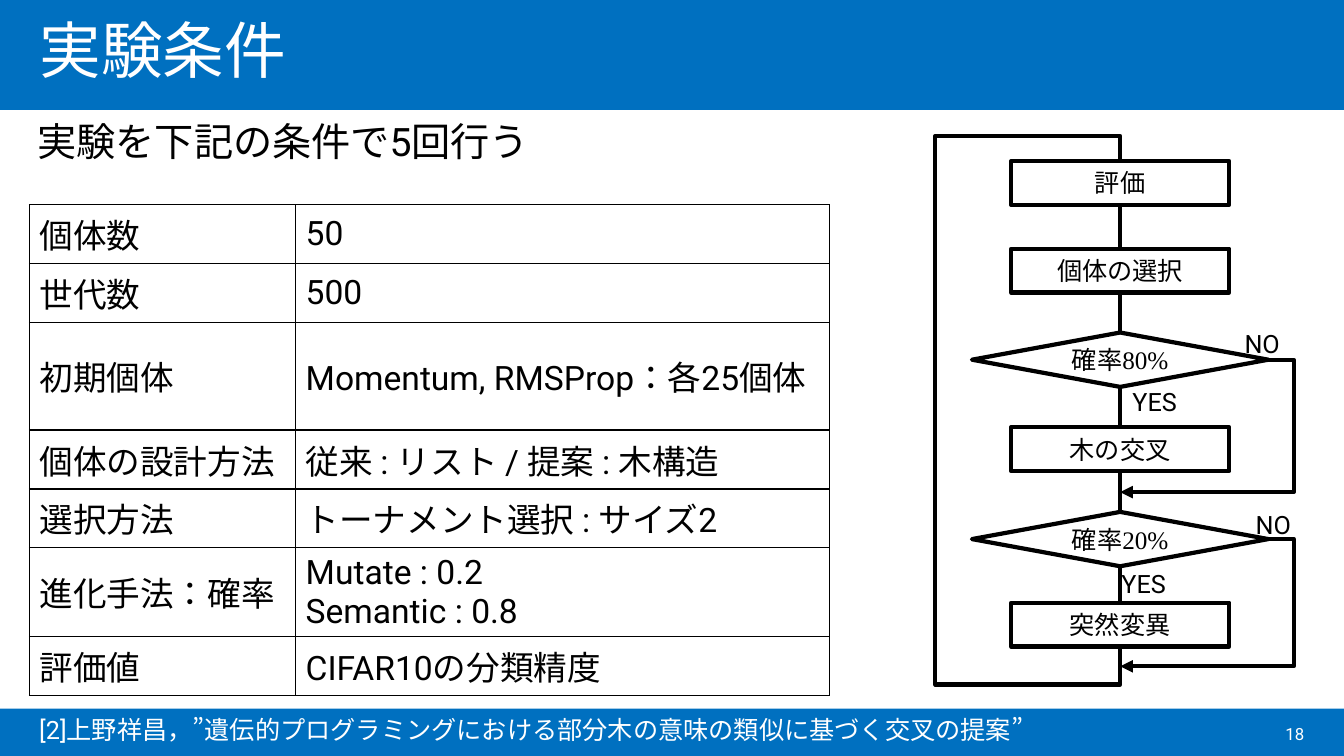
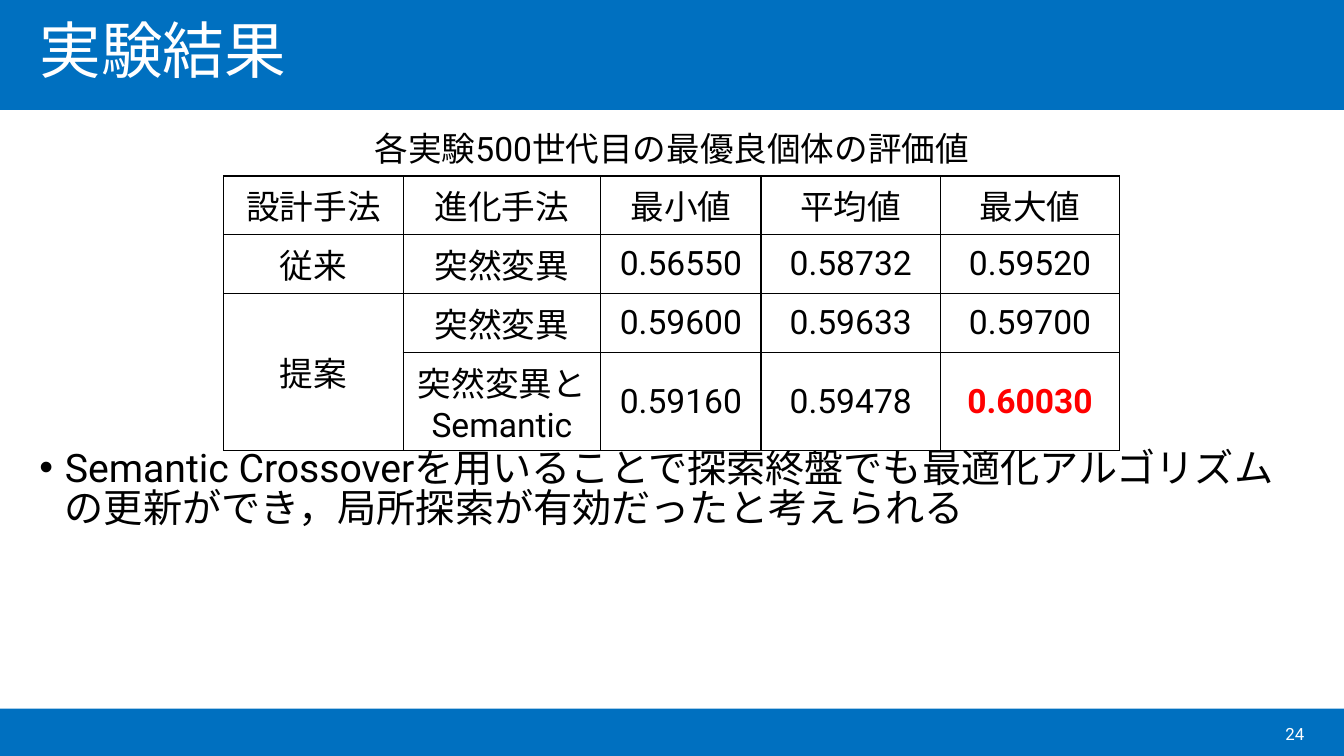
from dataclasses import dataclass
from typing import NamedTuple

from lxml import etree
from pptx import Presentation
from pptx.dml.color import RGBColor
from pptx.enum.lang import MSO_LANGUAGE_ID
from pptx.enum.shapes import MSO_CONNECTOR, MSO_SHAPE
from pptx.enum.text import MSO_ANCHOR, MSO_AUTO_SIZE, PP_ALIGN
from pptx.oxml.ns import qn
from pptx.util import Cm, Pt

LEFT, MID, RIGHT = PP_ALIGN.LEFT, PP_ALIGN.CENTER, PP_ALIGN.RIGHT
TOP, CENTER = MSO_ANCHOR.TOP, MSO_ANCHOR.MIDDLE
NO_FIT = MSO_AUTO_SIZE.NONE
RECT = MSO_SHAPE.RECTANGLE
STEP, TEST = MSO_SHAPE.FLOWCHART_PROCESS, MSO_SHAPE.FLOWCHART_DECISION
LINE, ELBOW = MSO_CONNECTOR.STRAIGHT, MSO_CONNECTOR.ELBOW
JAPAN = MSO_LANGUAGE_ID.JAPANESE

COLORS = {"blue": "0070C0", "white": "FFFFFF", "black": "000000", "red": "FF0000"}
SANS, SERIF = "Roboto", "Times New Roman"
WIDE, HIGH = 33.87, 19.05


class Box(NamedTuple):
    x: float
    y: float
    w: float
    h: float

    def cm(self) -> list:
        return [Cm(v) for v in self]


class Style(NamedTuple):
    size: float
    color: str = "black"
    font: str = SANS
    align: PP_ALIGN = LEFT
    bold: bool = False
    space: float = 1.0


@dataclass
class Grid:
    x: float
    y: float
    cols: list
    rows: list
    align: PP_ALIGN = LEFT
    spans: tuple = ()
    hot: tuple = ()
    caption: bool = False


@dataclass
class Node:
    kind: MSO_SHAPE
    y: float
    text: str

    @property
    def size(self) -> tuple:
        return (7.47, 1.37) if self.kind == TEST else (5.5, 1.1)

    @property
    def end(self) -> float:
        return self.y + self.size[1]


BANDS = [Box(0, 17.86, WIDE, 1.19), Box(0, 0, WIDE, 2.77)]
TITLE = Style(44, "white", space=0.9)
BODY = Style(28, space=0.85)
CELL = Style(24)
PAGE = Style(12, "white", align=RIGHT)
NOTE = Style(18, "white")
FLOW = Style(18, font=SERIF, align=MID)
LABEL = Style(18, align=MID)
ROW = 1.04

SETUP = Grid(0.74, 5.16, [6.71, 13.46], [
    ["個体数", "50"],
    ["世代数", "500"],
    ["初期個体", "Momentum, RMSProp：各25個体"],
    ["個体の設計方法", "従来 : リスト / 提案 : 木構造"],
    ["選択方法", "トーナメント選択 : サイズ2"],
    ["進化手法：確率", "Mutate : 0.2\nSemantic : 0.8"],
    ["評価値", "CIFAR10の分類精度"],
])
SCORES = Grid(5.64, 2.95, [4.52, 4.98, 4.04, 4.52, 4.52], [
    ["各実験500世代目の最優良個体の評価値", "", "", "", ""],
    ["設計手法", "進化手法", "最小値", "平均値", "最大値"],
    ["従来", "突然変異", "0.56550", "0.58732", "0.59520"],
    ["提案", "突然変異", "0.59600", "0.59633", "0.59700"],
    ["", "突然変異と\nSemantic", "0.59160", "0.59478", "0.60030"],
], MID, spans=((0, 0, 0, 4), (3, 0, 4, 0)), hot=((4, 4),), caption=True)

AXIS = 28.23
NODES = [
    Node(STEP, 4.06, "評価"),
    Node(STEP, 6.27, "個体の選択"),
    Node(TEST, 8.38, "確率80%"),
    Node(STEP, 10.77, "木の交叉"),
    Node(TEST, 12.9, "確率20%"),
    Node(STEP, 15.19, "突然変異"),
]
JOINS = [12.4, 16.79]
SIDE = 0.64
LOOP = Box(23.57, 3.43, AXIS - 23.57, 13.82)
LABELS = [("YES", 28.07, 9.6), ("NO", 30.78, 8.15), ("YES", 27.79, 14.2), ("NO", 31.06, 12.7)]


def rgb(name: str) -> RGBColor:
    return RGBColor.from_string(COLORS[name])


def write(frame, text: str, style: Style, anchor: MSO_ANCHOR = TOP) -> None:
    frame.word_wrap = True
    frame.auto_size = NO_FIT
    frame.vertical_anchor = anchor
    fill_text(frame, text, style)


def fill_text(frame, text: str, style: Style) -> None:
    """Add one paragraph for each line of the text."""
    for i, line in enumerate(text.split("\n")):
        para = frame.add_paragraph() if i else frame.paragraphs[0]
        para.alignment = style.align
        para.line_spacing = style.space
        para.space_before = Pt(0)
        run = para.add_run()
        run.text = line
        font = run.font
        font.size, font.name, font.bold = Pt(style.size), style.font, style.bold
        font.color.rgb = rgb(style.color)
        font.language_id = JAPAN


def put_text(slide, box: Box, text: str, style: Style, anchor: MSO_ANCHOR = TOP) -> None:
    write(slide.shapes.add_textbox(*box.cm()).text_frame, text, style, anchor)


def place(shape, box: Box) -> None:
    shape.left, shape.top, shape.width, shape.height = box.cm()


def set_bullet(para, mark: str) -> None:
    props = para._p.get_or_add_pPr()
    dent = Cm(0.64) if mark else 0
    props.set("marL", str(dent))
    props.set("indent", str(-dent))
    if mark:
        etree.SubElement(props, qn("a:buChar")).set("char", mark)
    else:
        etree.SubElement(props, qn("a:buNone"))


def add_bands(deck, slide) -> None:
    """Put the blue bands on the master, behind everything else."""
    tree = deck.slide_master.element.cSld.spTree
    for i, box in enumerate(BANDS):
        band = slide.shapes.add_shape(RECT, *box.cm())
        band.shadow.inherit = False
        band.fill.solid()
        band.fill.fore_color.rgb = rgb("blue")
        band.line.fill.background()
        band.element.nvSpPr.cNvPr.id = 90 + i
        tree.insert(2 + i, band.element)


def add_page(deck, title: str, number: str, body: str, area: Box, mark: str = ""):
    slide = deck.slides.add_slide(deck.slide_layouts[1])
    head, main_box = slide.placeholders
    place(head, Box(0.74, 0.15, 32.39, 2.39))
    write(head.text_frame, title, TITLE, CENTER)
    place(main_box, area)
    set_bullet(main_box.text_frame.paragraphs[0], mark)
    write(main_box.text_frame, body, BODY)
    put_text(slide, Box(25.5, 17.98, 7.62, 1.02), number, PAGE, CENTER)
    return slide


def set_edges(cell, shown: str) -> None:
    props = cell._tc.get_or_add_tcPr()
    for side in "LRTB":
        edge = etree.SubElement(props, qn(f"a:ln{side}"), w=str(Pt(1)))
        if side in shown:
            fill = etree.SubElement(edge, qn("a:solidFill"))
            etree.SubElement(fill, qn("a:srgbClr"), val=COLORS["black"])
        else:
            etree.SubElement(edge, qn("a:noFill"))


def add_grid(slide, grid: Grid) -> None:
    count = len(grid.rows)
    box = Box(grid.x, grid.y, sum(grid.cols), count * ROW)
    table = slide.shapes.add_table(count, len(grid.cols), *box.cm()).table
    table.first_row = table.horz_banding = False
    for col, width in zip(table.columns, grid.cols):
        col.width = Cm(width)
    for r1, c1, r2, c2 in grid.spans:
        table.cell(r1, c1).merge(table.cell(r2, c2))
    base = CELL._replace(align=grid.align)
    for r, row in enumerate(grid.rows):
        table.rows[r].height = Cm(ROW)
        for c, text in enumerate(row):
            cell = table.cell(r, c)
            set_edges(cell, "B" if grid.caption and r == 0 else "LRTB")
            cell.fill.solid()
            cell.fill.fore_color.rgb = rgb("white")
            cell.vertical_anchor = CENTER
            if text:
                hot = (r, c) in grid.hot
                style = base._replace(color="red", bold=True) if hot else base
                fill_text(cell.text_frame, text, style)


def ink(shape) -> None:
    shape.line.color.rgb = rgb("black")
    shape.line.width = Pt(3)


def link(slide, kind: MSO_CONNECTOR, x1: float, y1: float, x2: float, y2: float):
    wire = slide.shapes.add_connector(kind, Cm(x1), Cm(y1), Cm(x2), Cm(y2))
    ink(wire)
    etree.SubElement(wire.element.spPr, qn("a:effectLst"))
    return wire


def add_skip(slide, node: Node, join: float) -> None:
    """Lead the NO branch around the next step, back to the axis."""
    reach = node.size[0] / 2
    wire = link(slide, ELBOW, AXIS + reach, node.y + node.size[1] / 2, AXIS, join)
    props = wire.element.spPr
    guides = props.find(qn("a:prstGeom")).get_or_add_avLst()
    bend = f"val {round(-SIDE / reach * 100000)}"
    etree.SubElement(guides, qn("a:gd"), name="adj1", fmla=bend)
    etree.SubElement(props.find(qn("a:ln")), qn("a:tailEnd"), type="triangle")


def add_loop(slide) -> None:
    low = LOOP.y + LOOP.h
    spots = [(AXIS, NODES[-1].end), (AXIS, low), (LOOP.x, low),
             (LOOP.x, LOOP.y), (AXIS, LOOP.y), (AXIS, NODES[0].y)]
    first, *rest = [(Cm(x), Cm(y)) for x, y in spots]
    pen = slide.shapes.build_freeform(*first)
    pen.add_line_segments(rest, close=False)
    loop = pen.convert_to_shape()
    loop.shadow.inherit = False
    loop.fill.background()
    ink(loop)


def add_flow(slide) -> None:
    add_loop(slide)
    for a, b in zip(NODES, NODES[1:]):
        link(slide, LINE, AXIS, a.end, AXIS, b.y)
    tests = [node for node in NODES if node.kind == TEST]
    for node, join in zip(tests, JOINS):
        add_skip(slide, node, join)
    for node in NODES:
        w, h = node.size
        shape = slide.shapes.add_shape(node.kind, *Box(AXIS - w / 2, node.y, w, h).cm())
        shape.shadow.inherit = False
        shape.fill.solid()
        shape.fill.fore_color.rgb = rgb("white")
        ink(shape)
        write(shape.text_frame, node.text, FLOW, CENTER)
    for text, x, y in LABELS:
        put_text(slide, Box(x, y, 2.06, 0.9), text, LABEL)


def main() -> None:
    deck = Presentation()
    deck.slide_width, deck.slide_height = Cm(WIDE), Cm(HIGH)

    setup = add_page(deck, "実験条件", "18", "実験を下記の条件で5回行う", Box(0.69, 3.02, 22, 1.8))
    add_bands(deck, setup)
    add_grid(setup, SETUP)
    put_text(setup, Box(0.74, 17.88, 27.1, 1.02),
             "[2]上野祥昌，”遺伝的プログラミングにおける部分木の意味の類似に基づく交叉の提案”", NOTE)
    add_flow(setup)

    finding = ("Semantic Crossoverを用いることで探索終盤でも最適化アルゴリズムの"
               "更新ができ，局所探索が有効だったと考えられる")
    result = add_page(deck, "実験結果", "24", finding, Box(0.74, 11.23, 32.41, 6.38), "•")
    add_grid(result, SCORES)
    deck.save("out.pptx")


if __name__ == "__main__":
    main()
